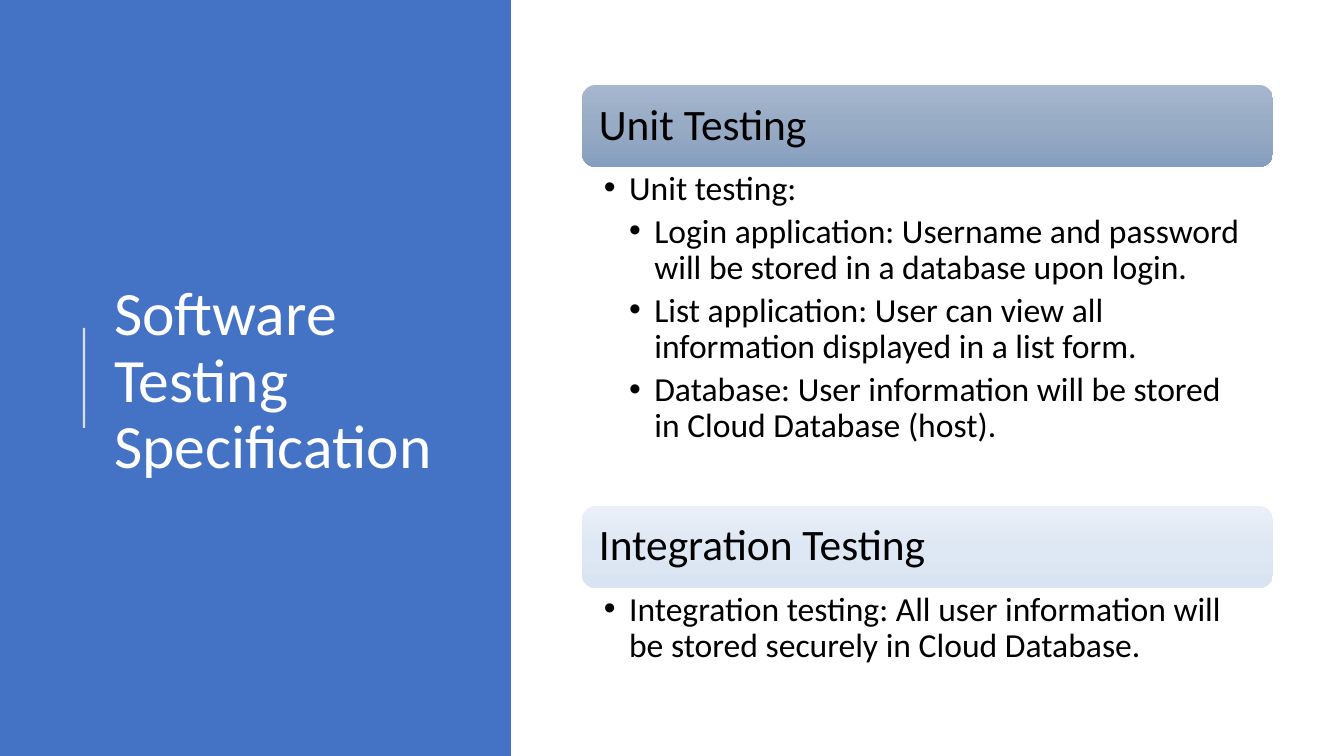
from copy import deepcopy

from lxml import etree
from pptx import Presentation, util as u
from pptx.dml.color import RGBColor
from pptx.enum import shapes, text
from pptx.oxml import ns

PIXEL = 914400 / 100.8
FONT = "Calibri"
COLORS = {"panel": "4472C4", "white": "FFFFFF", "black": "000000"}
HEADER_HEIGHT = 82
SECTIONS = [
    {
        "heading": "Unit Testing",
        "gradient": ["A5B6CE", "98ABC4", "869EBE"],
        "box": (582, 85, 691, 422),
        "bullets": [
            (1, "Unit testing:"),
            (2, "Login application: Username and password will be stored in a database upon login."),
            (2, "List application: User can view all information displayed in a list form."),
            (2, "Database: User information will be stored in Cloud Database (host)."),
        ],
    },
    {
        "heading": "Integration Testing",
        "gradient": ["EBF0F8", "DEE7F4", "D9E4F3"],
        "box": (582, 506, 691, 165),
        "bullets": [
            (1, "Integration testing: All user information will be stored securely in Cloud Database."),
        ],
    },
]


def px(*lengths):
    """Turn pixel lengths into a list of EMU."""
    return [u.Emu(round(length * PIXEL)) for length in lengths]


def rgb(value):
    """Turn a hex string into a colour."""
    return RGBColor.from_string(value)


def child(parent, tag, **attributes):
    """Append a drawing element with the given attributes."""
    return etree.SubElement(parent, ns.qn(tag), **attributes)


def set_frame(frame, insets, anchor):
    """Set wrapping, insets and vertical anchor of a text frame."""
    frame.word_wrap = True
    frame.auto_size = text.MSO_AUTO_SIZE.NONE
    frame.vertical_anchor = anchor
    (frame.margin_left, frame.margin_top,
     frame.margin_right, frame.margin_bottom) = px(*insets)


def write(para, words, size, color="black", after=0, level=0):
    """Write formatted words in a paragraph, bulleted when a level is given."""
    para.alignment = text.PP_ALIGN.LEFT
    para.line_spacing = 0.9
    para.space_before = u.Pt(0)
    para.space_after = u.Pt(after)
    span = para.add_run()
    span.text = words
    span.font.name = FONT
    span.font.size = u.Pt(size)
    span.font.color.rgb = rgb(COLORS[color])
    if level:
        para.level = level
        properties = para._p.get_or_add_pPr()
        indent = u.Inches(0.25)
        properties.set("marL", str(indent * level))
        properties.set("indent", str(-indent))
        child(properties, "a:buFont", typeface="Arial")
        child(properties, "a:buChar", char="•")


def add_block(page, kind, box):
    """Add a preset shape without shadow or outline."""
    block = page.shapes.add_shape(kind, *px(*box))
    block.shadow.inherit = False
    block.line.fill.background()
    return block


def add_title_panel(page, box, words):
    """Fill the side panel and place its title and accent line."""
    left, top, width, height = box
    panel = add_block(page, shapes.MSO_SHAPE.RECTANGLE, box)
    panel.fill.solid()
    panel.fill.fore_color.rgb = rgb(COLORS["panel"])

    title = page.shapes.title
    title.element.addprevious(panel.element)
    title.left, title.top, title.width, title.height = px(left + 104, top + 79, 372, 607)
    set_frame(title.text_frame, (10, 5, 10, 5), text.MSO_ANCHOR.MIDDLE)
    write(title.text_frame.paragraphs[0], words, 44, "white")

    accent_x, middle = left + 84, top + height / 2
    accent = page.shapes.add_connector(
        shapes.MSO_CONNECTOR.STRAIGHT,
        *px(accent_x, middle + 50, accent_x, middle - 50))
    accent.line.width = u.Pt(1.5)
    accent.line.color.rgb = rgb(COLORS["white"])
    child(accent.element.xpath(".//a:srgbClr")[0], "a:alpha", val="80000")
    child(accent.element.spPr, "a:effectLst")


def fill_gradient(block, colors):
    """Fill a shape from top to bottom with three evenly spaced colours."""
    block.fill.gradient()
    block.fill.gradient_angle = 270
    first = block.element.xpath(".//a:gs")[0]
    first.addnext(deepcopy(first))
    for index, (stop, color) in enumerate(zip(block.fill.gradient_stops, colors)):
        stop.position = index / 2
        stop.color.rgb = rgb(color)


def add_section(page, box, heading, gradient, bullets):
    """Place a rounded heading bar with its bullet list below."""
    left, top, width, height = box
    header = add_block(page, shapes.MSO_SHAPE.ROUNDED_RECTANGLE,
                       (left, top, width, HEADER_HEIGHT))
    fill_gradient(header, gradient)
    set_frame(header.text_frame, (13, 13, 13, 13), text.MSO_ANCHOR.MIDDLE)
    write(header.text_frame.paragraphs[0], heading, 31)

    body = page.shapes.add_textbox(
        *px(left, top + HEADER_HEIGHT, width, height - HEADER_HEIGHT))
    frame = body.text_frame
    set_frame(frame, (22, 4, 24, 4), text.MSO_ANCHOR.TOP)
    for index, (level, words) in enumerate(bullets):
        para = frame.add_paragraph() if index else frame.paragraphs[0]
        write(para, words, 24, after=4.8, level=level)


def build():
    """Build and save the deck."""
    deck = Presentation()
    deck.slide_width, deck.slide_height = px(1344, 756)
    page = deck.slides.add_slide(deck.slide_layouts.get_by_name("Title Only"))
    add_title_panel(page, (0, 0, 511, 756), "Software Testing Specification")
    for section in SECTIONS:
        add_section(page, **section)
    deck.save("out.pptx")


build()
